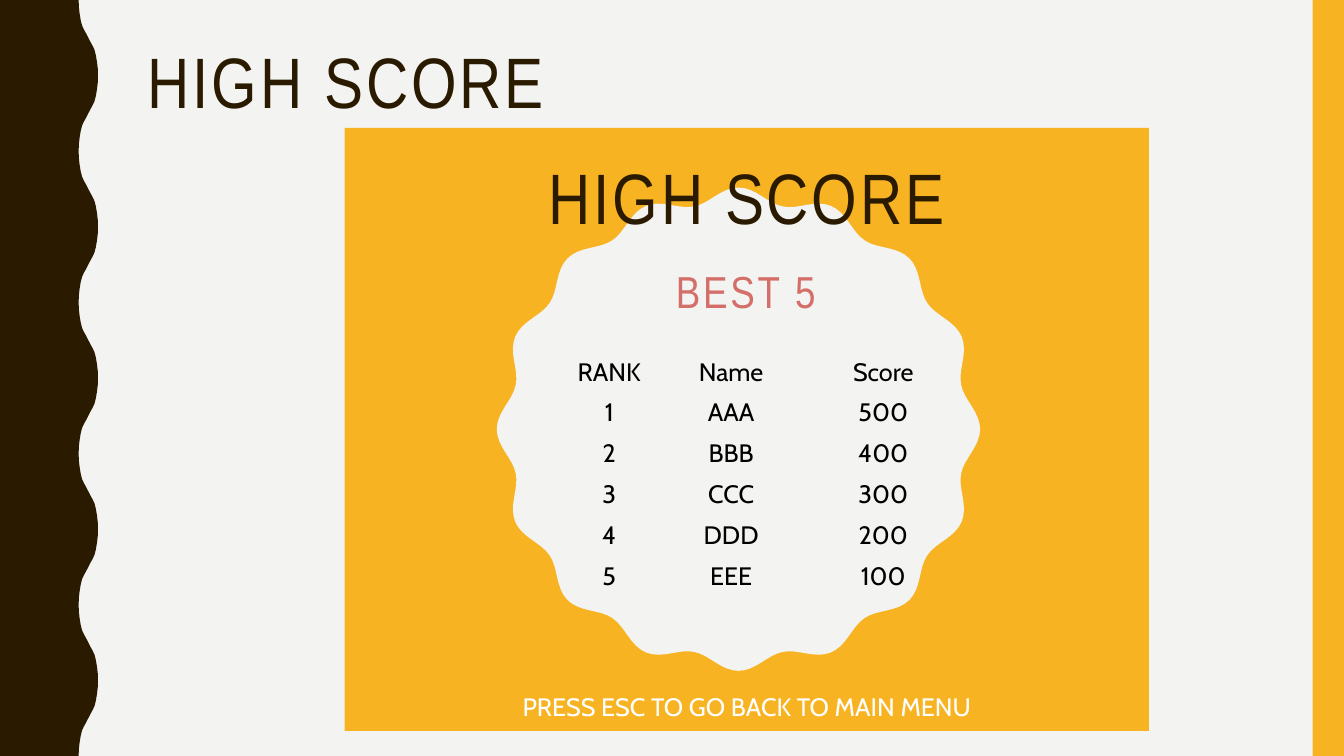
import math

from pptx import Presentation
from pptx.dml.color import RGBColor
from pptx.enum import shapes, text
from pptx.oxml.ns import qn
from pptx.util import Pt

PAPER = RGBColor(0xF3, 0xF3, 0xF2)
BROWN = RGBColor(0x2A, 0x1A, 0x00)
AMBER = RGBColor(0xF8, 0xB3, 0x23)
ROSE = RGBColor(0xD3, 0x6F, 0x68)
BLACK = RGBColor(0, 0, 0)
WHITE = RGBColor(0xFF, 0xFF, 0xFF)

HEADING, BODY = "Arial Narrow", "Cabin"
NO_STYLE = "{2D5ABB26-0587-4C30-8999-92F81FD0307C}"
SCORES = [
    ("RANK", "Name", "Score"),
    ("1", "AAA", "500"),
    ("2", "BBB", "400"),
    ("3", "CCC", "300"),
    ("4", "DDD", "200"),
    ("5", "EEE", "100"),
]
# Half a wave of the left border: (across, down) as shares of its depth and height
HALF_WAVE = [(0, 0), (0.01, 0.09), (0.05, 0.18), (0.11, 0.27), (0.18, 0.34),
             (0.27, 0.39), (0.38, 0.44), (0.5, 0.5), (0.62, 0.56), (0.73, 0.61),
             (0.82, 0.66), (0.89, 0.73), (0.95, 0.82), (0.99, 0.91), (1, 1)]


def paint(sp, color):
    sp.fill.solid()
    sp.fill.fore_color.rgb = color
    sp.line.fill.background()
    sp.shadow.inherit = False


def add_rect(s, x, y, w, h, color):
    sp = s.shapes.add_shape(shapes.MSO_SHAPE.RECTANGLE, Pt(x), Pt(y), Pt(w), Pt(h))
    paint(sp, color)


def add_outline(s, points, color):
    points = [(Pt(x), Pt(y)) for x, y in points]
    builder = s.shapes.build_freeform(*points[0], scale=1.0)
    builder.add_line_segments(points[1:], close=True)
    paint(builder.convert_to_shape(), color)


def write(tf, words, font=BODY, size=18, color=BLACK, align=text.PP_ALIGN.CENTER,
          line=None, spacing=None):
    p = tf.paragraphs[0]
    p.alignment = align
    p.line_spacing = line
    r = p.add_run()
    r.text = words
    r.font.name, r.font.size = font, Pt(size)
    r.font.color.rgb = color
    if spacing:
        r.font._element.set("spc", str(spacing * 100))


def add_text(s, x, y, w, h, words, **style):
    tf = s.shapes.add_textbox(Pt(x), Pt(y), Pt(w), Pt(h)).text_frame
    tf.word_wrap = True
    write(tf, words, **style)


def add_heading(s, x, y, w, h, words, size=51, color=BROWN, **style):
    add_text(s, x, y, w, h, words, font=HEADING, size=size, color=color,
             line=0.9, spacing=2, **style)


def add_wavy_border(s, x, y, w, h, waves=5, depth=13.8):
    half = h / waves / 2
    points = [(x, y)]
    for i in range(2 * waves):
        for across, down in HALF_WAVE:
            share = 1 - across if i % 2 else across
            points.append((x + w - depth + depth * share, y + half * (i + down)))
    add_outline(s, points + [(x, y + h)], BROWN)


def add_seal(s, cx, cy, radius, lobes=16, depth=10.4):
    points = []
    for i in range(lobes * 16):
        a = math.tau * i / (lobes * 16)
        r = radius - depth / 2 * (1 - math.cos(lobes * a))
        points.append((cx + r * math.sin(a), cy - r * math.cos(a)))
    add_outline(s, points, PAPER)


def add_score_table(s, x, y, widths, row_height):
    frame = s.shapes.add_table(len(SCORES), len(widths), Pt(x), Pt(y),
                               Pt(sum(widths)), Pt(row_height * len(SCORES)))
    table = frame.table
    table.first_row = table.horz_banding = False
    table._tbl.tblPr.find(qn("a:tableStyleId")).text = NO_STYLE
    for col, width in zip(table.columns, widths):
        col.width = Pt(width)
    for row, values in zip(table.rows, SCORES):
        row.height = Pt(row_height)
        for cell, value in zip(row.cells, values):
            cell.fill.background()
            write(cell.text_frame, value)


def add_game_screen(s, x, y, w, h):
    add_rect(s, x, y, w, h, AMBER)
    add_seal(s, x + 281.3, y + 215.2, 172.6)
    add_heading(s, x, y + 21.6, w, 68.4, "HIGH SCORE")
    add_score_table(s, x + 156.2, y + 159.8, (65.5, 108.7, 108.7), 29.2)
    add_heading(s, x + 158.6, y + 98, 256, 55.4, "BEST 5", size=32, color=ROSE)
    add_text(s, x, y + 399, w, 29, "PRESS ESC TO GO BACK TO MAIN MENU", color=WHITE)


def add_score_slide(prs):
    s = prs.slides.add_slide(prs.slide_layouts[6])
    s.background.fill.solid()
    s.background.fill.fore_color.rgb = PAPER
    add_wavy_border(s, 0, 0, 70, 540)
    add_rect(s, 937.6, 0, 22.4, 540, AMBER)
    add_game_screen(s, 246.2, 91.4, 574.4, 430.6)
    add_heading(s, 98.6, 30.2, 801.4, 117.4, "HIGH SCORE", align=text.PP_ALIGN.LEFT)


def main():
    prs = Presentation()
    prs.slide_width, prs.slide_height = Pt(960), Pt(540)
    add_score_slide(prs)
    prs.save("out.pptx")


if __name__ == "__main__":
    main()
